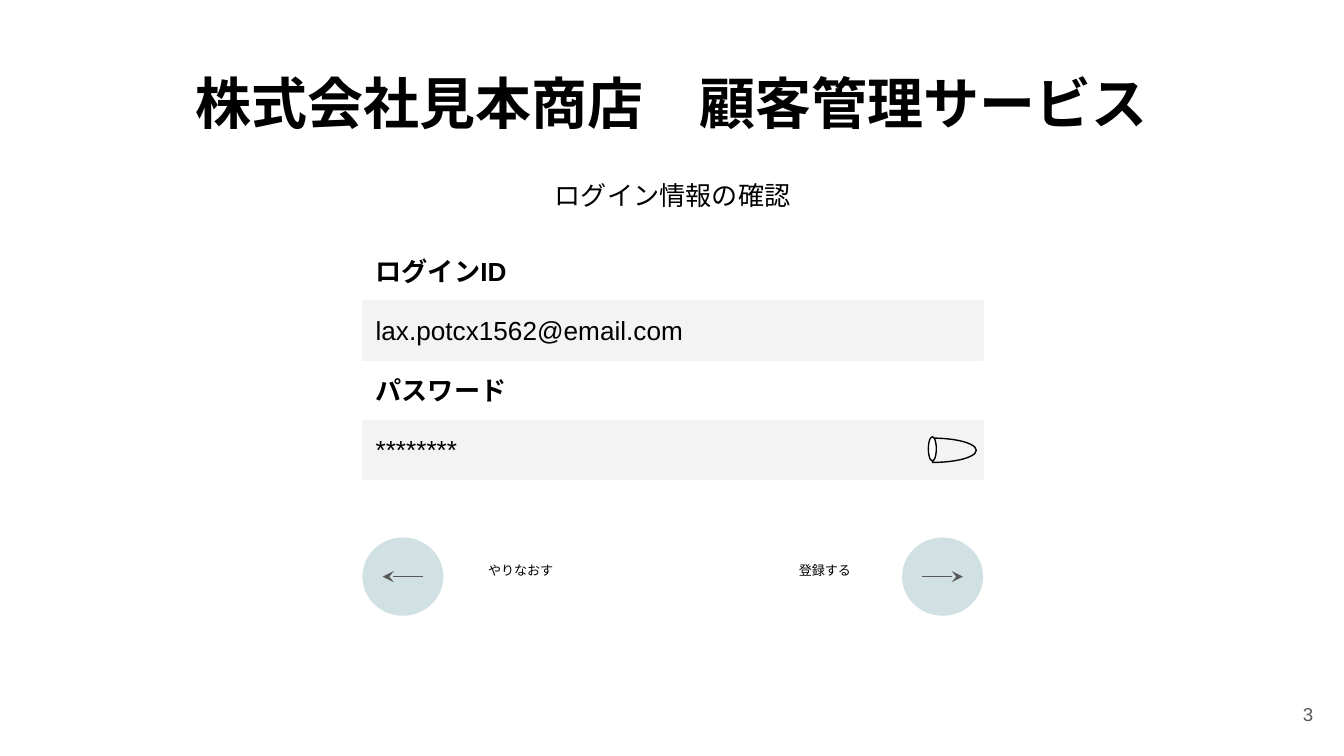
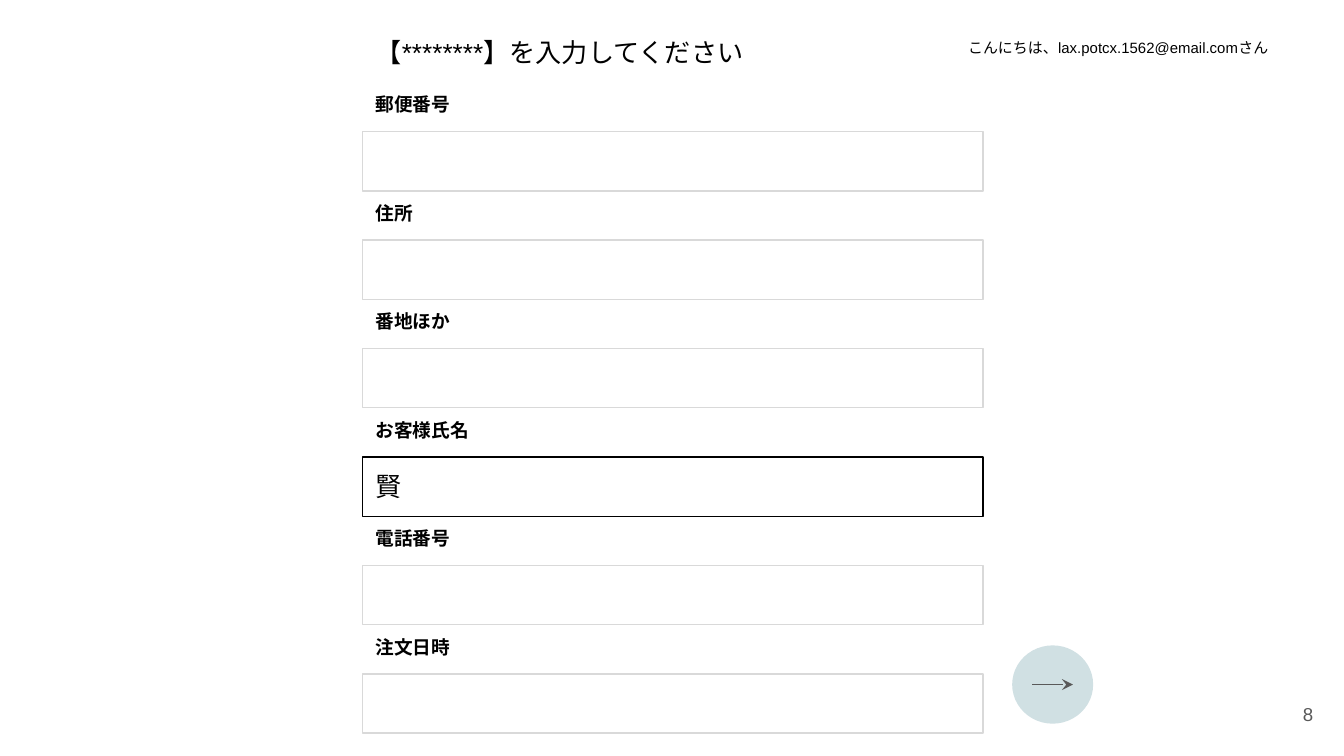
from dataclasses import dataclass

from lxml import etree
from pptx import Presentation
from pptx import util as u
from pptx.dml.color import RGBColor
from pptx.enum import lang, shapes, text
from pptx.oxml.ns import qn


@dataclass(frozen=True)
class Theme:
    """Colours, font and type sizes shared by the slides."""
    font: str = "Arial"
    ink: str = "000000"
    grey: str = "595959"
    border: str = "D9D9D9"
    panel: str = "F3F3F3"
    button: str = "D0E0E3"
    paper: str = "FFFFFF"
    title: int = 30
    body: int = 14
    label: int = 10
    greeting: int = 8
    caption: int = 7
    line: float = 0.75


@dataclass(frozen=True)
class Box:
    """A rectangle in centimetres."""
    left: float
    top: float
    width: float
    height: float

    def inner(self, left, top, width, height):
        """Return a box placed relative to this one."""
        return Box(self.left + left, self.top + top, width, height)

    def lengths(self):
        """Return the four lengths for python-pptx."""
        return [u.Cm(n) for n in (self.left, self.top, self.width, self.height)]


THEME = Theme()
LEFT, RIGHT = text.PP_ALIGN.LEFT, text.PP_ALIGN.RIGHT
CENTER = text.PP_ALIGN.CENTER
SHAPE = shapes.MSO_SHAPE
COLUMN_LEFT, COLUMN_WIDTH, FIELD_HEIGHT = 6.85, 11.73, 1.12
BUTTON_WIDTH, BUTTON_HEIGHT = 1.53, 1.48
CAPTION_WIDTH, CAPTION_HEIGHT = 2.92, 0.81


def rgb(value):
    """Turn a hex string into a colour."""
    return RGBColor.from_string(value)


def write(shape, words, size, bold=False, align=LEFT, color=THEME.ink,
          anchor=text.MSO_ANCHOR.TOP):
    """Put one styled paragraph in a shape."""
    frame = shape.text_frame
    frame.word_wrap = True
    frame.vertical_anchor = anchor
    frame.margin_left = frame.margin_right = u.Cm(0.25)
    frame.margin_top = frame.margin_bottom = u.Cm(0.25)
    frame.text = words
    para = frame.paragraphs[0]
    para.alignment = align
    for span in para.runs:
        span.font.name = THEME.font
        span.font.size = u.Pt(size)
        span.font.bold = bold
        span.font.color.rgb = rgb(color)
        span.font.language_id = lang.MSO_LANGUAGE_ID.JAPANESE
        properties = span.font._element
        etree.SubElement(properties, qn("a:ea"), typeface=THEME.font)


def add_words(page, box, words, size, **style):
    """Add a text box."""
    write(page.shapes.add_textbox(*box.lengths()), words, size, **style)


def add_shape(parent, kind, box, fill=None, line=None):
    """Add a preset shape with an optional fill and outline."""
    shape = parent.shapes.add_shape(kind, *box.lengths())
    shape.shadow.inherit = False
    if fill:
        shape.fill.solid()
        shape.fill.fore_color.rgb = rgb(fill)
    else:
        shape.fill.background()
    if line:
        shape.line.color.rgb = rgb(line)
        shape.line.width = u.Pt(THEME.line)
    else:
        shape.line.fill.background()
    return shape


def add_field(page, box, label, label_height, size, value, fill, line):
    """Add a bold label above an input field and return the field's box."""
    add_words(page, box.inner(0, 0, box.width, label_height), label, size, bold=True)
    field_box = box.inner(0, label_height, box.width, FIELD_HEIGHT)
    field = add_shape(page, SHAPE.RECTANGLE, field_box, fill, line)
    if value:
        write(field, value, THEME.body)
    return field_box


def add_arrow_button(page, box, forward=True):
    """Add a round button with an arrow through its middle."""
    group = page.shapes.add_group_shape()
    add_shape(group, SHAPE.OVAL, box, THEME.button)
    start, end = (0.25, 0.75) if forward else (0.75, 0.25)
    middle = u.Cm(box.top + box.height / 2)
    arrow = group.shapes.add_connector(
        shapes.MSO_CONNECTOR.STRAIGHT,
        u.Cm(box.left + box.width * start), middle,
        u.Cm(box.left + box.width * end), middle)
    arrow.line.color.rgb = rgb(THEME.grey)
    arrow.line.width = u.Pt(THEME.line)
    etree.SubElement(arrow.line._get_or_add_ln(), qn("a:tailEnd"), type="stealth")
    etree.SubElement(arrow._element.spPr, qn("a:effectLst"))


def add_peek_icon(page, box):
    """Add the icon that reveals the password inside its field."""
    body = add_shape(page, SHAPE.CHORD, box.inner(9.95, 0.33, 1.65, 0.46),
                     line=THEME.ink)
    body.adjustments[0], body.adjustments[1] = 54.02, 162
    body.rotation = 180
    lens = add_shape(page, SHAPE.OVAL, box.inner(10.54, 0.46, 0.46, 0.15),
                     THEME.paper, THEME.ink)
    lens.rotation = 90


def add_choices(page, box):
    """Add the back and forward buttons at the two ends of a row."""
    far = box.width - BUTTON_WIDTH
    for left, caption_left, caption, forward in (
            (0, BUTTON_WIDTH, "やりなおす", False),
            (far, far - CAPTION_WIDTH, "登録する", True)):
        add_arrow_button(page, box.inner(left, 0, BUTTON_WIDTH, BUTTON_HEIGHT), forward)
        add_words(page, box.inner(caption_left, 0.33, CAPTION_WIDTH, CAPTION_HEIGHT),
                  caption, THEME.caption, align=CENTER)


def add_page(deck, number):
    """Add a blank slide with its page number."""
    page = deck.slides.add_slide(deck.slide_layouts[6])
    add_words(page, Box(23.55, 12.95, 1.52, 1.09), number, THEME.label, align=RIGHT,
              color=THEME.grey, anchor=text.MSO_ANCHOR.MIDDLE)
    return page


def build_confirmation(deck):
    """Build the slide that confirms the login details."""
    page = add_page(deck, "3")
    add_words(page, Box(3.43, 1.04, 18.54, 1.8), "株式会社見本商店　顧客管理サービス",
              THEME.title, bold=True, align=CENTER)
    add_words(page, Box(COLUMN_LEFT, 3.15, COLUMN_WIDTH, FIELD_HEIGHT),
              "ログイン情報の確認", THEME.body, align=CENTER)
    entries = (("ログインID", "lax.potcx1562@email.com"), ("パスワード", "********"))
    pitch = 2.26
    for row, (label, value) in enumerate(entries):
        box = Box(COLUMN_LEFT, 4.57 + row * pitch, COLUMN_WIDTH, pitch)
        field_box = add_field(page, box, label, FIELD_HEIGHT, THEME.body, value,
                              THEME.panel, THEME.panel)
    add_peek_icon(page, field_box)
    add_choices(page, Box(COLUMN_LEFT, 10.16, COLUMN_WIDTH, BUTTON_HEIGHT))


def build_entry_form(deck):
    """Build the slide with the customer entry form."""
    page = add_page(deck, "8")
    add_words(page, Box(COLUMN_LEFT, 0.43, COLUMN_WIDTH, FIELD_HEIGHT),
              "【********】を入力してください", THEME.body)
    add_words(page, Box(17.63, 0.56, 7.01, 0.86),
              "こんにちは、lax.potcx.1562@email.comさん", THEME.greeting, align=CENTER)
    entries = (("郵便番号", ""), ("住所", ""), ("番地ほか", ""),
               ("お客様氏名", "賢"), ("電話番号", ""), ("注文日時", ""))
    pitch = 2.05
    for row, (label, value) in enumerate(entries):
        box = Box(COLUMN_LEFT, 1.55 + row * pitch, COLUMN_WIDTH, pitch)
        add_field(page, box, label, 0.94, THEME.label, value, None,
                  THEME.ink if value else THEME.border)
    add_arrow_button(page, Box(19.13, 12.2, BUTTON_WIDTH, BUTTON_HEIGHT))


def main():
    """Build and save the deck."""
    deck = Presentation()
    deck.slide_width, deck.slide_height = u.Cm(25.4), u.Cm(14.29)
    build_confirmation(deck)
    build_entry_form(deck)
    deck.save("out.pptx")


main()
